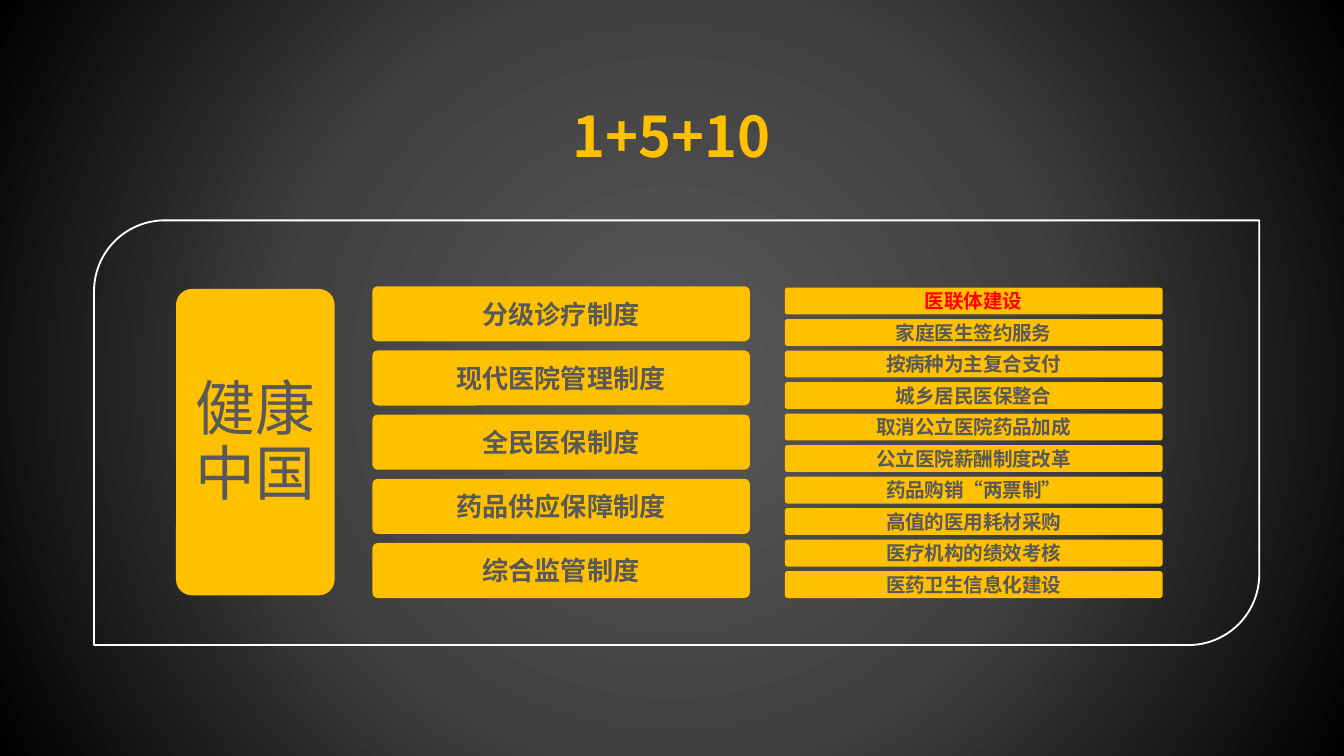
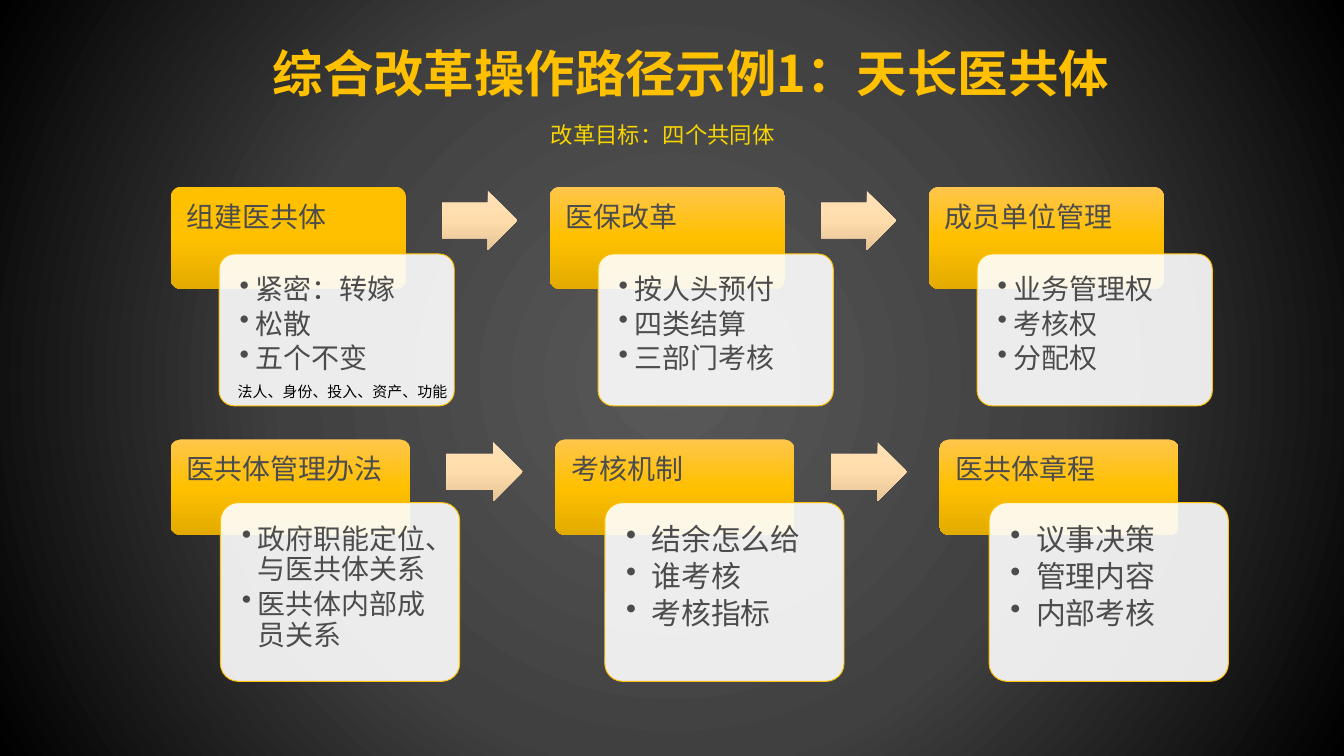
from dataclasses import dataclass
from typing import Optional, Sequence

from pptx import Presentation
from pptx.dml.color import RGBColor
from pptx.enum.shapes import MSO_SHAPE
from pptx.enum.text import MSO_ANCHOR, MSO_AUTO_SIZE, PP_ALIGN
from pptx.oxml.ns import qn
from pptx.oxml.xmlchemy import OxmlElement
from pptx.util import Inches, Pt

CJK_FONT = "Noto Sans CJK SC"
TITLE_ONLY = 5

GOLD = RGBColor(0xFF, 0xC0, 0x00)
LIGHT_GOLD = RGBColor(0xFF, 0xC6, 0x4B)
DARK_GOLD = RGBColor(0xE3, 0xAB, 0x00)
YELLOW = RGBColor(0xF8, 0xD5, 0x01)
RED = RGBColor(0xFF, 0x00, 0x00)
WHITE = RGBColor(0xFF, 0xFF, 0xFF)
BLACK = RGBColor(0x00, 0x00, 0x00)
BAR_GREY = RGBColor(0x59, 0x59, 0x59)
TEXT_GREY = RGBColor(0x4C, 0x4C, 0x4C)
MID_GREY = RGBColor(0x40, 0x40, 0x40)

BACKDROP = (BAR_GREY, MID_GREY, BLACK)
HEADER_SHADES = (LIGHT_GOLD, GOLD, DARK_GOLD)
FIRST_HEADER_SHADES = (GOLD, GOLD, DARK_GOLD)
ARROW_SHADES = (RGBColor(0xFF, 0xE2, 0xB9), RGBColor(0xFF, 0xDC, 0xAB),
                RGBColor(0xE5, 0xC4, 0x96))


@dataclass(frozen=True)
class Area:
    left: float
    top: float
    width: float
    height: float

    def lengths(self):
        return [Inches(v) for v in (self.left, self.top, self.width, self.height)]


@dataclass(frozen=True)
class Style:
    size: float
    color: RGBColor
    bold: bool = False
    align: PP_ALIGN = PP_ALIGN.LEFT
    font: str = CJK_FONT
    line: Optional[float] = None
    after: float = 0
    hang: float = 0


@dataclass(frozen=True)
class BarColumn:
    area: Area
    bar_height: float
    size: float
    labels: Sequence[str]
    highlight: str = ""


@dataclass(frozen=True)
class Step:
    header: str
    points: Sequence[str]
    size: float = 15
    hang: float = 0.12
    shades: Sequence[RGBColor] = HEADER_SHADES


@dataclass(frozen=True)
class StepRow:
    header: Area
    card_shift: tuple[float, float]
    card_height: float
    pitch: float
    arrow: Area
    steps: Sequence[Step]


BAR_COLUMNS = (
    BarColumn(Area(2.77, 2.13, 2.81, 2.32), 0.41, 14, (
        "分级诊疗制度", "现代医院管理制度", "全民医保制度",
        "药品供应保障制度", "综合监管制度")),
    BarColumn(Area(5.84, 2.14, 2.81, 2.31), 0.2, 10.5, (
        "医联体建设", "家庭医生签约服务", "按病种为主复合支付",
        "城乡居民医保整合", "取消公立医院药品加成", "公立医院薪酬制度改革",
        "药品购销“两票制”", "高值的医用耗材采购", "医疗机构的绩效考核",
        "医药卫生信息化建设"), "医联体建设"),
)

STEP_ROWS = (
    StepRow(Area(1.27, 1.39, 1.75, 0.76), (0.36, 0.5), 1.13, 2.82,
            Area(3.29, 1.42, 0.56, 0.44), (
        Step("组建医共体", ("紧密：转嫁", "松散", "五个不变"),
             shades=FIRST_HEADER_SHADES),
        Step("医保改革", ("按人头预付", "四类结算", "三部门考核")),
        Step("成员单位管理", ("业务管理权", "考核权", "分配权")))),
    StepRow(Area(1.27, 3.27, 1.78, 0.71), (0.37, 0.47), 1.33, 2.86,
            Area(3.32, 3.29, 0.57, 0.44), (
        Step("医共体管理办法", ("政府职能定位、与医共体关系", "医共体内部成员关系")),
        Step("考核机制", ("结余怎么给", "谁考核", "考核指标"), 16, 0.19),
        Step("医共体章程", ("议事决策", "管理内容", "内部考核"), 16, 0.19))),
)


def shade(fill, element, colors: Sequence[RGBColor], radial: bool = False) -> None:
    """Fill with evenly spaced colours, downwards or out from the centre."""
    fill.gradient()
    gradient = element.find(".//" + qn("a:gradFill"))
    for child in list(gradient):
        gradient.remove(child)
    stops = OxmlElement("a:gsLst")
    gradient.append(stops)
    for index, color in enumerate(colors):
        stop = OxmlElement("a:gs")
        stop.set("pos", str(100000 * index // (len(colors) - 1)))
        value = OxmlElement("a:srgbClr")
        value.set("val", str(color))
        stop.append(value)
        stops.append(stop)
    if radial:
        route = OxmlElement("a:path")
        route.set("path", "circle")
        centre = OxmlElement("a:fillToRect")
        for side in "ltrb":
            centre.set(side, "50000")
        route.append(centre)
    else:
        route = OxmlElement("a:lin")
        route.set("ang", "5400000")
        route.set("scaled", "0")
    gradient.append(route)


def add_bullet(para, hang: float) -> None:
    properties = para._p.get_or_add_pPr()
    properties.set("marL", str(Inches(hang)))
    properties.set("indent", str(-Inches(hang)))
    bullet = OxmlElement("a:buChar")
    bullet.set("char", "•")
    properties.append(bullet)


def write(frame, lines: Sequence[str], style: Style, anchor=MSO_ANCHOR.MIDDLE,
          margins=(0.1, 0.05), wrap: bool = True) -> None:
    """Write one paragraph per line; margins are horizontal, then vertical."""
    frame.auto_size = MSO_AUTO_SIZE.NONE
    frame.word_wrap = wrap
    frame.vertical_anchor = anchor
    frame.margin_left = frame.margin_right = Inches(margins[0])
    frame.margin_top = frame.margin_bottom = Inches(margins[1])
    for index, line in enumerate(lines):
        para = frame.add_paragraph() if index else frame.paragraphs[0]
        para.text = line
        para.alignment = style.align
        if style.line:
            para.line_spacing = Pt(style.line)
        para.space_after = Pt(style.after)
        if style.hang:
            add_bullet(para, style.hang)
        font = para.font
        font.name = style.font
        font.size = Pt(style.size)
        font.bold = style.bold
        font.color.rgb = style.color
        east_asian = OxmlElement("a:ea")
        east_asian.set("typeface", style.font)
        font._element.append(east_asian)


def add_shape(page, kind, area: Area, fill: Optional[RGBColor] = None,
              line: Optional[RGBColor] = None, line_width: float = 1,
              adjustments: Sequence[float] = ()):
    shape = page.shapes.add_shape(kind, *area.lengths())
    shape.shadow.inherit = False
    for index, value in enumerate(adjustments):
        shape.adjustments[index] = value
    if fill is None:
        shape.fill.background()
    else:
        shape.fill.solid()
        shape.fill.fore_color.rgb = fill
    if line is None:
        shape.line.fill.background()
    else:
        shape.line.color.rgb = line
        shape.line.width = Pt(line_width)
    return shape


def add_round_box(page, area: Area, fill: RGBColor, **options):
    return add_shape(page, MSO_SHAPE.ROUNDED_RECTANGLE, area, fill,
                     adjustments=(0.1,), **options)


def add_label(page, area: Area, words: str, style: Style, wrap: bool = True) -> None:
    box = page.shapes.add_textbox(*area.lengths())
    write(box.text_frame, [words], style, wrap=wrap)


def add_page(deck, title: str, area: Area, size: float):
    page = deck.slides.add_slide(deck.slide_layouts[TITLE_ONLY])
    heading = page.shapes.title
    heading.left, heading.top, heading.width, heading.height = area.lengths()
    write(heading.text_frame, [title], Style(size, GOLD, True, PP_ALIGN.CENTER))
    return page


def add_bar_column(page, column: BarColumn) -> None:
    area = column.area
    pitch = (area.height - column.bar_height) / (len(column.labels) - 1)
    for index, label in enumerate(column.labels):
        bar = add_round_box(page, Area(area.left, area.top + index * pitch,
                                       area.width, column.bar_height), GOLD)
        color = RED if label == column.highlight else BAR_GREY
        write(bar.text_frame, [label],
              Style(column.size, color, True, PP_ALIGN.CENTER), margins=(0.03, 0))


def add_step(page, row: StepRow, step: Step, shift: float) -> None:
    """Draw a header with its translucent card of bullet points."""
    area = row.header
    header = add_round_box(page, Area(area.left + shift, area.top,
                                      area.width, area.height), GOLD)
    shade(header.fill, header._element, step.shades)
    write(header.text_frame, [step.header], Style(15, TEXT_GREY, line=16.5),
          MSO_ANCHOR.TOP, (0.1, 0.09))

    right, down = row.card_shift
    card = add_round_box(page, Area(area.left + shift + right, area.top + down,
                                    area.width, row.card_height),
                         WHITE, line=GOLD, line_width=0.5)
    alpha = OxmlElement("a:alpha")
    alpha.set("val", "90000")
    card._element.spPr.find(qn("a:solidFill"))[0].append(alpha)
    write(card.text_frame, step.points,
          Style(step.size, TEXT_GREY, line=step.size * 1.1, after=2, hang=step.hang),
          MSO_ANCHOR.TOP, (0.12, 0.12))


def add_step_row(page, row: StepRow) -> None:
    for index, step in enumerate(row.steps):
        shift = index * row.pitch
        add_step(page, row, step, shift)
        if index < len(row.steps) - 1:
            area = row.arrow
            arrow = add_shape(page, MSO_SHAPE.RIGHT_ARROW,
                              Area(area.left + shift, area.top, area.width, area.height),
                              adjustments=(0.6, 0.5))
            shade(arrow.fill, arrow._element, ARROW_SHADES)


def build_system_page(deck) -> None:
    page = add_page(deck, "1+5+10", Area(0, 0.7, 10, 0.61), 30)
    goal = add_round_box(page, Area(1.31, 2.15, 1.18, 2.28), GOLD)
    write(goal.text_frame, ["健康中国"],
          Style(32, BAR_GREY, align=PP_ALIGN.CENTER, line=35.2), margins=(0.09, 0.07))
    for column in BAR_COLUMNS:
        add_bar_column(page, column)
    add_shape(page, MSO_SHAPE.ROUND_2_DIAG_RECTANGLE, Area(0.7, 1.64, 8.67, 3.16),
              line=WHITE)


def build_path_page(deck) -> None:
    page = add_page(deck, "综合改革操作路径示例1：天长医共体",
                    Area(0.14, 0.26, 10, 0.56), 27)
    for row in STEP_ROWS:
        add_step_row(page, row)
    add_label(page, Area(4, 0.85, 3.72, 0.3), "改革目标：四个共同体", Style(12, YELLOW))
    add_label(page, Area(1.67, 2.79, 1.77, 0.24), "法人、身份、投入、资产、功能",
              Style(8, BLACK, font="Calibri"), wrap=False)


def main() -> None:
    deck = Presentation()
    deck.slide_width = Inches(10)
    deck.slide_height = deck.slide_width * 9 // 16
    master = deck.slide_master
    shade(master.background.fill, master._element, BACKDROP, radial=True)
    build_system_page(deck)
    build_path_page(deck)
    deck.save("out.pptx")


if __name__ == "__main__":
    main()
